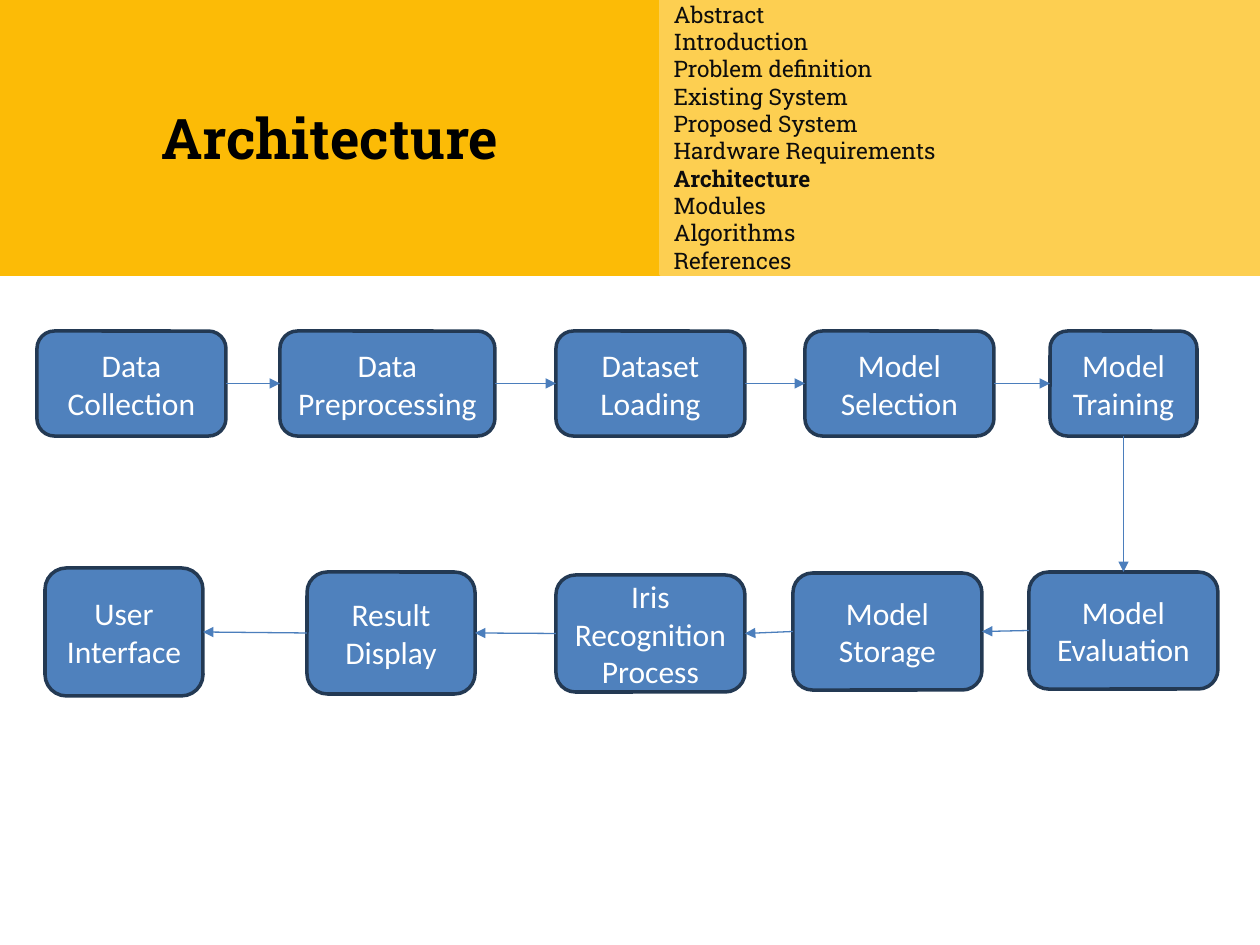
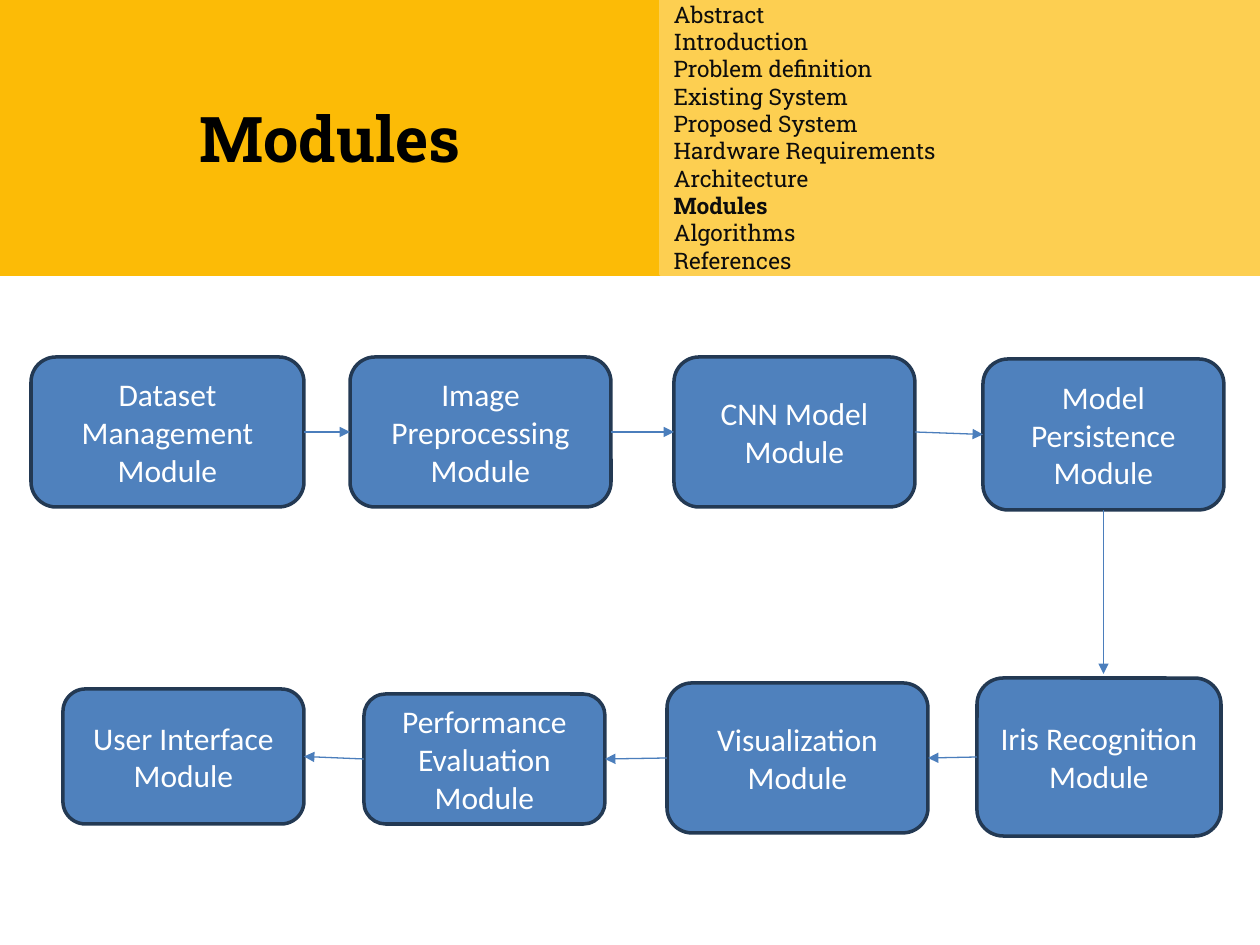
import dataclasses
import itertools
import typing

import lxml.etree
import pptx
import pptx.dml.color
import pptx.enum.shapes
import pptx.enum.text
import pptx.oxml.ns
import pptx.util

PX = 914400 / 126
SLIDE_WIDTH, SLIDE_HEIGHT = 1260, 945
HEADER_SPLIT, HEADER_HEIGHT = 660, 274
LOOSE_GAP = 4

AMBER = pptx.dml.color.RGBColor(0xFC, 0xBB, 0x06)
PALE_AMBER = pptx.dml.color.RGBColor(0xFD, 0xCF, 0x51)
BLACK = pptx.dml.color.RGBColor(0x00, 0x00, 0x00)
NEAR_BLACK = pptx.dml.color.RGBColor(0x0D, 0x0D, 0x0D)
WHITE = pptx.dml.color.RGBColor(0xFF, 0xFF, 0xFF)
BOX_BLUE = pptx.dml.color.RGBColor(0x4F, 0x81, 0xBD)
BOX_EDGE = pptx.dml.color.RGBColor(0x23, 0x39, 0x53)
ARROW_BLUE = pptx.dml.color.RGBColor(0x4B, 0x7E, 0xBC)

HEADING_FONT = "Roboto Slab"
BOX_FONT = "Calibri"
TOP, LEFT, BOTTOM, RIGHT = range(4)

AGENDA = [
    "Abstract",
    "Introduction",
    "Problem definition",
    "Existing System",
    "Proposed System",
    "Hardware Requirements",
    "Architecture",
    "Modules",
    "Algorithms",
    "References",
]


@dataclasses.dataclass(frozen=True)
class Step:
    text: str
    left: int
    top: int
    width: int
    height: int


@dataclasses.dataclass(frozen=True)
class FlowSlide:
    title: str
    title_size: int
    outward: list[Step]
    homeward: list[Step]


FLOW_SLIDES = [
    FlowSlide(
        "Architecture",
        32,
        [
            Step("Data Collection", 37, 331, 189, 105),
            Step("Data Preprocessing", 280, 331, 215, 105),
            Step("Dataset Loading", 556, 331, 189, 105),
            Step("Model Selection", 805, 331, 189, 105),
            Step("Model Training", 1050, 331, 147, 105),
        ],
        [
            Step("Model Evaluation", 1029, 572, 189, 117),
            Step("Model Storage", 793, 573, 189, 117),
            Step("Iris Recognition Process", 556, 575, 189, 117),
            Step("Result Display", 307, 572, 168, 122),
            Step("User Interface", 45, 568, 158, 128),
        ],
    ),
    FlowSlide(
        "Modules",
        36,
        [
            Step("Dataset Management Module", 31, 357, 273, 150),
            Step("Image Preprocessing Module", 350, 357, 261, 150),
            Step("CNN Model Module", 674, 357, 241, 150),
            Step("Model Persistence Module", 983, 359, 241, 151),
        ],
        [
            Step("Iris Recognition Module", 977, 678, 244, 158),
            Step("Visualization Module", 667, 683, 261, 150),
            Step("Performance Evaluation Module", 364, 694, 241, 130),
            Step("User Interface Module", 63, 689, 241, 135),
        ],
    ),
]


def px(length: float) -> int:
    return round(length * PX)


def place(shape: typing.Any, left: int, top: int, width: int, height: int) -> None:
    shape.left, shape.top = px(left), px(top)
    shape.width, shape.height = px(width), px(height)


def paint(shape: typing.Any, fill: pptx.dml.color.RGBColor, edge: pptx.dml.color.RGBColor) -> None:
    shape.fill.solid()
    shape.fill.fore_color.rgb = fill
    shape.line.color.rgb = edge
    shape.line.width = pptx.util.Pt(2)
    shape.shadow.inherit = False


def write_text(
    shape: typing.Any,
    lines: list[str],
    *,
    font: str,
    size: int,
    color: pptx.dml.color.RGBColor,
    bold_lines: tuple[str, ...] = (),
    align: pptx.enum.text.PP_ALIGN = pptx.enum.text.PP_ALIGN.CENTER,
) -> None:
    frame = shape.text_frame
    frame.word_wrap = True
    frame.auto_size = pptx.enum.text.MSO_AUTO_SIZE.NONE
    frame.vertical_anchor = pptx.enum.text.MSO_ANCHOR.MIDDLE
    frame.text = "\n".join(lines)
    for paragraph, line in zip(frame.paragraphs, lines):
        paragraph.alignment = align
        paragraph.space_before = pptx.util.Pt(0)
        run_font = paragraph.runs[0].font
        run_font.name = font
        run_font.size = pptx.util.Pt(size)
        run_font.bold = line in bold_lines
        run_font.color.rgb = color


def remove_bullets(shape: typing.Any) -> None:
    for paragraph in shape.text_frame.paragraphs:
        properties = paragraph._p.get_or_add_pPr()
        properties.set("marL", "0")
        properties.set("indent", "0")
        lxml.etree.SubElement(properties, pptx.oxml.ns.qn("a:buNone"))


def add_header(slide: typing.Any, title: str, title_size: int) -> None:
    heading = slide.shapes.title
    place(heading, 0, 0, HEADER_SPLIT, HEADER_HEIGHT)
    paint(heading, AMBER, AMBER)
    write_text(heading, [title], font=HEADING_FONT, size=title_size, color=BLACK, bold_lines=(title,))

    agenda = slide.placeholders[1]
    place(agenda, HEADER_SPLIT + 1, 0, SLIDE_WIDTH - HEADER_SPLIT - 1, HEADER_HEIGHT)
    paint(agenda, PALE_AMBER, PALE_AMBER)
    write_text(
        agenda,
        AGENDA,
        font=HEADING_FONT,
        size=13,
        color=NEAR_BLACK,
        bold_lines=(title,),
        align=pptx.enum.text.PP_ALIGN.LEFT,
    )
    remove_bullets(agenda)


def add_step(slide: typing.Any, step: Step) -> typing.Any:
    box = slide.shapes.add_shape(
        pptx.enum.shapes.MSO_SHAPE.ROUNDED_RECTANGLE,
        px(step.left),
        px(step.top),
        px(step.width),
        px(step.height),
    )
    paint(box, BOX_BLUE, BOX_EDGE)
    write_text(box, [step.text], font=BOX_FONT, size=18, color=WHITE)
    return box


def add_arrow(slide: typing.Any, source: typing.Any, source_side: int, target: typing.Any, target_side: int) -> typing.Any:
    arrow = slide.shapes.add_connector(pptx.enum.shapes.MSO_CONNECTOR.STRAIGHT, 0, 0, 0, 0)
    arrow.begin_connect(source, source_side)
    source_center = source.left + source.width // 2
    target_center = target.left + target.width // 2
    if source_side == BOTTOM and abs(source_center - target_center) > px(1):
        arrow.end_x = source_center
        arrow.end_y = target.top - px(LOOSE_GAP)
    else:
        arrow.end_connect(target, target_side)
    arrow.line.color.rgb = ARROW_BLUE
    arrow.line.width = pptx.util.Pt(0.75)
    lxml.etree.SubElement(arrow.line._get_or_add_ln(), pptx.oxml.ns.qn("a:tailEnd"), type="triangle")
    lxml.etree.SubElement(arrow._element.spPr, pptx.oxml.ns.qn("a:effectLst"))
    return arrow


def add_flow_slide(presentation: typing.Any, flow: FlowSlide) -> None:
    slide = presentation.slides.add_slide(presentation.slide_layouts[1])
    add_header(slide, flow.title, flow.title_size)
    outward = [add_step(slide, step) for step in flow.outward]
    homeward = [add_step(slide, step) for step in flow.homeward]
    for source, target in itertools.pairwise(outward):
        add_arrow(slide, source, RIGHT, target, LEFT)
    add_arrow(slide, outward[-1], BOTTOM, homeward[0], TOP)
    for source, target in itertools.pairwise(homeward):
        add_arrow(slide, source, LEFT, target, RIGHT)


def main() -> None:
    presentation = pptx.Presentation()
    presentation.slide_width = px(SLIDE_WIDTH)
    presentation.slide_height = px(SLIDE_HEIGHT)
    for flow in FLOW_SLIDES:
        add_flow_slide(presentation, flow)
    presentation.save("out.pptx")


if __name__ == "__main__":
    main()
